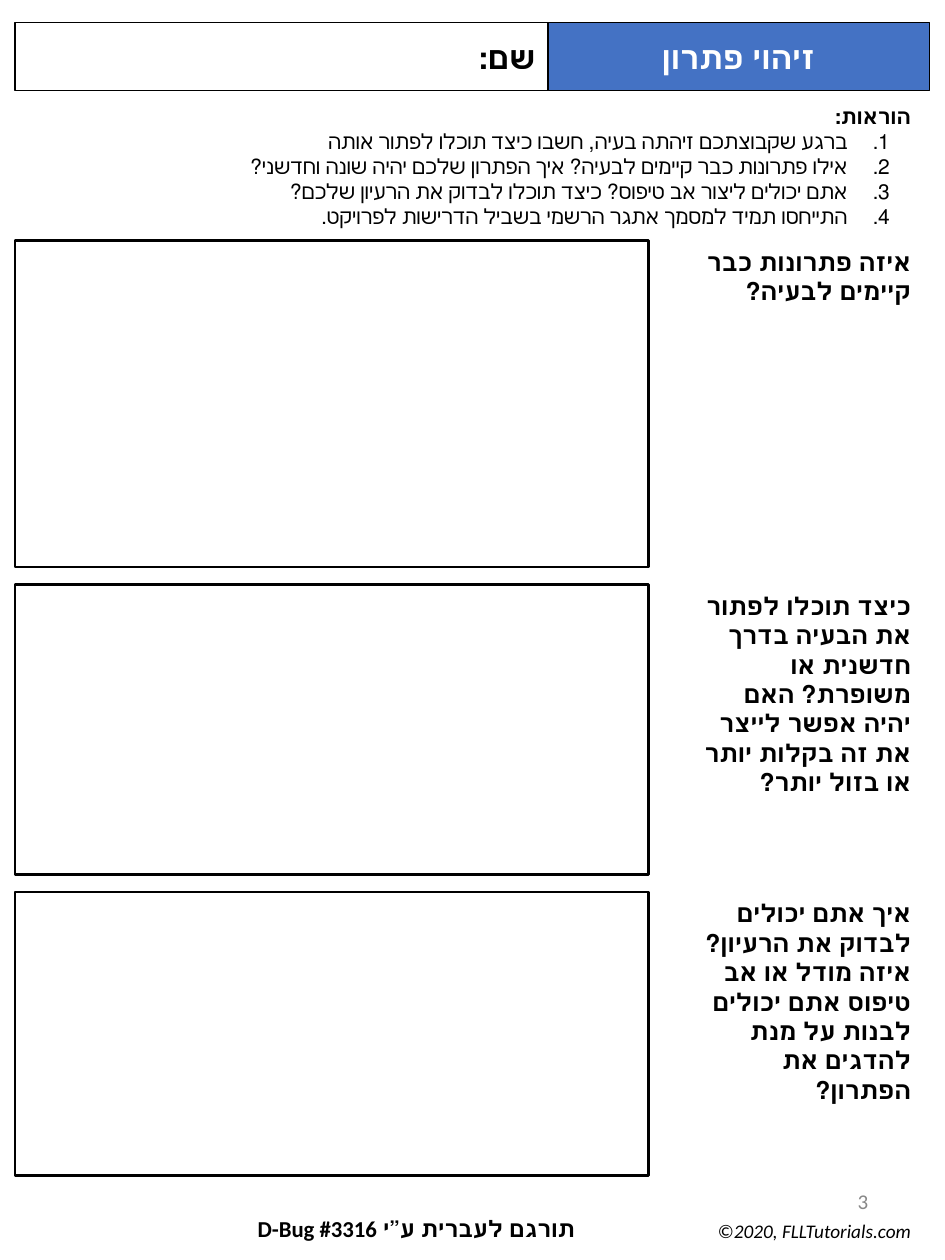
from lxml.etree import SubElement
from pptx import Presentation
from pptx.dml.color import RGBColor
from pptx.enum.lang import MSO_LANGUAGE_ID as Language
from pptx.enum.shapes import MSO_SHAPE as Shape
from pptx.enum.text import MSO_ANCHOR as Anchor, PP_ALIGN as Align
from pptx.oxml.ns import qn
from pptx.util import Inches, Pt

WIDTH, HEIGHT = 7.5, 10
FONT = "Calibri"

# Columns as (left, width) in inches
ANSWER_COLUMN = (0.12, 5.03)
QUESTION_COLUMN = (5.45, 1.88)
NAME_COLUMN = (0.12, 4.23)
TITLE_COLUMN = (4.34, 3.04)

# Rows in inches
HEADER_ROW = (0.18, 0.54)
FIRST_ANSWER_TOP, ROW_GAP = 1.91, 0.14

HEADING = {"size": Pt(18), "bold": True}
QUESTION = {"size": Pt(14), "bold": True}
INSTRUCTION = {"size": Pt(12), "bold": False}

STEPS = [
    "ברגע שקבוצתכם זיהתה בעיה, חשבו כיצד תוכלו לפתור אותה",
    "אילו פתרונות כבר קיימים לבעיה? איך הפתרון שלכם יהיה שונה וחדשני?",
    "אתם יכולים ליצור אב טיפוס? כיצד תוכלו לבדוק את הרעיון שלכם?",
    "התייחסו תמיד למסמך אתגר הרשמי בשביל הדרישות לפרויקט.",
]

# Question, height of its answer frame
QUESTIONS = [
    ("איזה פתרונות כבר קיימים לבעיה?", 2.59),
    ("כיצד תוכלו לפתור את הבעיה בדרך חדשנית או משופרת? "
     "האם יהיה אפשר לייצר את זה בקלות יותר או בזול יותר?", 2.3),
    ("איך אתם יכולים לבדוק את הרעיון? איזה מודל או אב טיפוס "
     "אתם יכולים לבנות על מנת להדגים את הפתרון?", 2.25),
]


def color(value):
    return RGBColor.from_string(value)


def area(column, row):
    """Turn a (left, width) column and a (top, height) row into a position."""
    (left, width), (top, height) = column, row
    return [Inches(length) for length in (left, top, width, height)]


def write(para, text, style, ink="000000", align=Align.RIGHT, hebrew=True):
    para.alignment = align
    if hebrew:
        para._p.get_or_add_pPr().set("rtl", "1")
    span = para.add_run()
    span.text = text
    for name, value in {"name": FONT, **style}.items():
        setattr(span.font, name, value)
    span.font.color.rgb = color(ink)
    if hebrew:
        span.font.language_id = Language.HEBREW


def number(para):
    """Give a paragraph an automatic number and a hanging indent."""
    props = para._p.get_or_add_pPr()
    props.set("marL", str(Inches(0.5)))
    props.set("indent", str(Inches(-0.33)))
    bullet_color = SubElement(props, qn("a:buClr"))
    SubElement(bullet_color, qn("a:srgbClr"), val="000000")
    SubElement(props, qn("a:buAutoNum"), type="arabicPeriod")


def add_frame(page, column, row, line_width, fill=None):
    frame = page.shapes.add_shape(Shape.RECTANGLE, *area(column, row))
    frame.shadow.inherit = False
    if fill:
        frame.fill.solid()
        frame.fill.fore_color.rgb = color(fill)
    else:
        frame.fill.background()
    frame.line.color.rgb = color("000000")
    frame.line.width = Pt(line_width)
    frame.text_frame.vertical_anchor = Anchor.MIDDLE
    return frame.text_frame.paragraphs[0]


def add_text(page, column, row, anchor=Anchor.TOP):
    box = page.shapes.add_textbox(*area(column, row)).text_frame
    box.word_wrap = True
    box.vertical_anchor = anchor
    return box


def add_header(page):
    title = add_frame(page, TITLE_COLUMN, HEADER_ROW, 0.75, "4472C4")
    write(title, "זיהוי פתרון", HEADING, "FFFFFF", Align.CENTER)
    name = add_frame(page, NAME_COLUMN, HEADER_ROW, 0.75, "FFFFFF")
    write(name, "שם:", HEADING)


def add_instructions(page):
    box = add_text(page, (0.06, 7.27), (0.77, 1.14))
    write(box.paragraphs[0], "הוראות: ", {**INSTRUCTION, "bold": True})
    for step in STEPS:
        para = box.add_paragraph()
        number(para)
        write(para, step, INSTRUCTION)


def add_questions(page):
    top = FIRST_ANSWER_TOP
    for question, height in QUESTIONS:
        row = (top, height)
        add_frame(page, ANSWER_COLUMN, row, 1.5)
        box = add_text(page, QUESTION_COLUMN, row)
        write(box.paragraphs[0], question, QUESTION)
        top += height + ROW_GAP


def add_footer(page):
    page_number = add_text(page, (5.3, 1.69), (9.27, 0.53), Anchor.MIDDLE)
    write(page_number.paragraphs[0], "3", {"size": Pt(12)}, "888888", hebrew=False)
    rights = add_text(page, (5.24, 2.09), (9.63, 0.28))
    write(rights.paragraphs[0], "©2020, FLLTutorials.com",
          {"size": Pt(11), "italic": True}, hebrew=False)
    credit = add_text(page, (0.46, 4.2), (9.59, 0.28))
    write(credit.paragraphs[0], "תורגם לעברית ע”י D-Bug #3316",
          {"size": Pt(13), "bold": True})


def main():
    deck = Presentation()
    deck.slide_width, deck.slide_height = Inches(WIDTH), Inches(HEIGHT)
    page = deck.slides.add_slide(deck.slide_layouts[6])
    add_questions(page)
    add_header(page)
    add_instructions(page)
    add_footer(page)
    deck.save("out.pptx")


if __name__ == "__main__":
    main()
